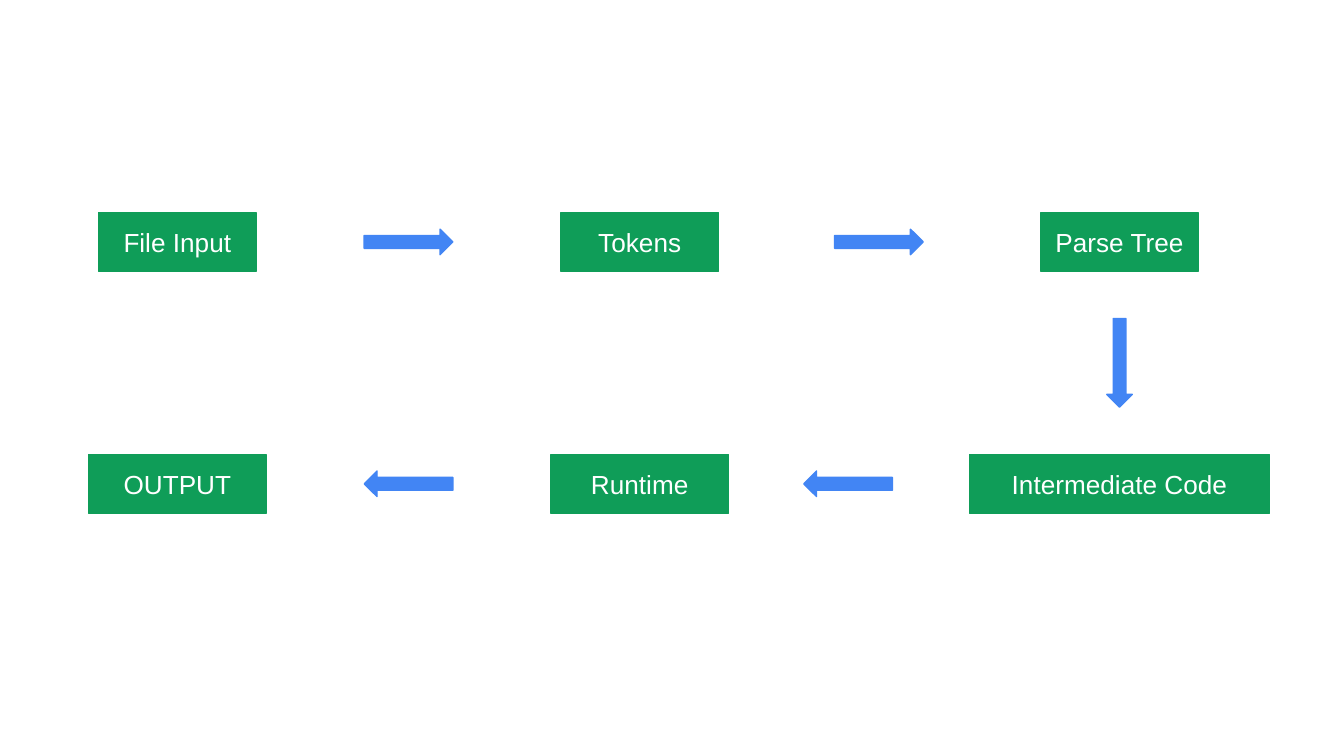
from pptx import Presentation
from pptx.dml.color import RGBColor
from pptx.enum.shapes import MSO_SHAPE
from pptx.enum.text import MSO_ANCHOR, MSO_AUTO_SIZE, PP_ALIGN
from pptx.util import Inches, Pt

GREEN, BLUE, WHITE = "0F9D58", "4285F4", "FFFFFF"
LEFT, MIDDLE, RIGHT = 1.32, 4.76, 8.33  # column centres
TOP, BOTTOM = 1.8, 3.6  # row centres
STAGE_HEIGHT = 0.44
ARROW_LENGTH, ARROW_THICKNESS = 0.66, 0.19

STAGES = [
    ("File Input", LEFT, TOP, 1.17),
    ("Tokens", MIDDLE, TOP, 1.17),
    ("Parse Tree", RIGHT, TOP, 1.17),
    ("Intermediate Code", RIGHT, BOTTOM, 2.23),
    ("Runtime", MIDDLE, BOTTOM, 1.32),
    ("OUTPUT", LEFT, BOTTOM, 1.32),
]
# Centre and clockwise rotation of each arrow, in flow order
ARROWS = [
    (3.04, TOP, 0),
    (6.54, TOP, 0),
    (RIGHT, (TOP + BOTTOM) / 2, 90),
    (6.31, BOTTOM, 180),
    (3.04, BOTTOM, 180),
]


def color(hex_string):
    return RGBColor.from_string(hex_string)


def add_centered_shape(page, kind, center_x, center_y, width, height, fill):
    shape = page.shapes.add_shape(
        kind, Inches(center_x - width / 2), Inches(center_y - height / 2),
        Inches(width), Inches(height))
    shape.shadow.inherit = False
    shape.fill.solid()
    shape.fill.fore_color.rgb = color(fill)
    shape.line.color.rgb = color(fill)
    shape.line.width = Pt(0.75)
    return shape


def add_stage(page, label, center_x, center_y, width):
    box = add_centered_shape(page, MSO_SHAPE.RECTANGLE, center_x, center_y,
                             width, STAGE_HEIGHT, GREEN)
    frame = box.text_frame
    frame.word_wrap = True
    frame.auto_size = MSO_AUTO_SIZE.SHAPE_TO_FIT_TEXT
    frame.vertical_anchor = MSO_ANCHOR.MIDDLE
    frame.margin_left = frame.margin_right = Inches(0.1)
    frame.margin_top = frame.margin_bottom = Inches(0.1)
    para = frame.paragraphs[0]
    para.text = label
    para.alignment = PP_ALIGN.CENTER
    para.font.name = "Arial"
    para.font.size = Pt(14)
    para.font.color.rgb = color(WHITE)


def add_arrow(page, center_x, center_y, rotation):
    arrow = add_centered_shape(page, MSO_SHAPE.RIGHT_ARROW, center_x, center_y,
                               ARROW_LENGTH, ARROW_THICKNESS, BLUE)
    arrow.rotation = rotation


def add_pipeline(page):
    for stage in STAGES:
        add_stage(page, *stage)
    for arrow in ARROWS:
        add_arrow(page, *arrow)


def main():
    deck = Presentation()
    deck.slide_width = Inches(10)
    deck.slide_height = deck.slide_width * 9 // 16
    page = deck.slides.add_slide(deck.slide_layouts[6])
    page.background.fill.solid()
    page.background.fill.fore_color.rgb = color(WHITE)
    add_pipeline(page)
    deck.save("out.pptx")


if __name__ == "__main__":
    main()
